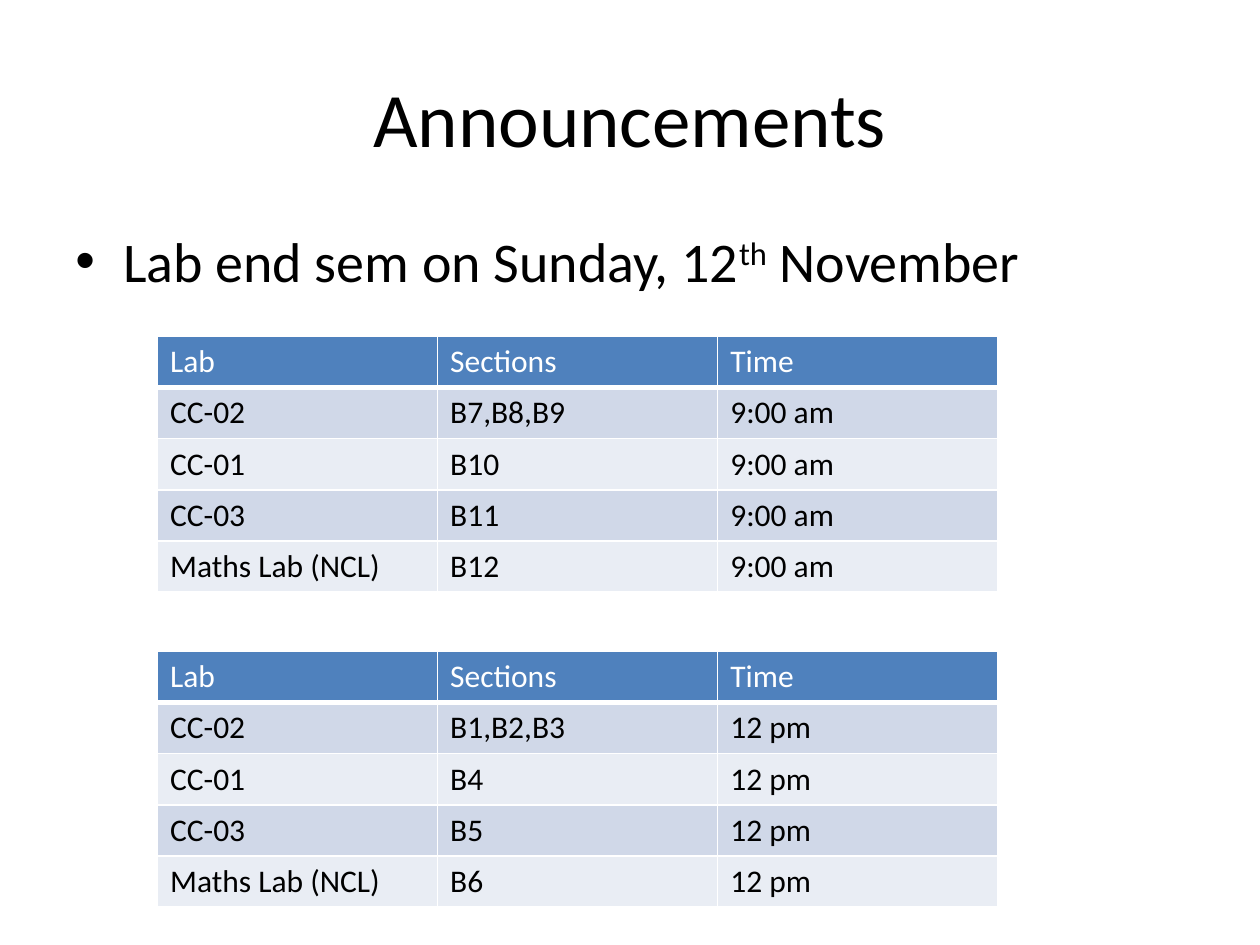
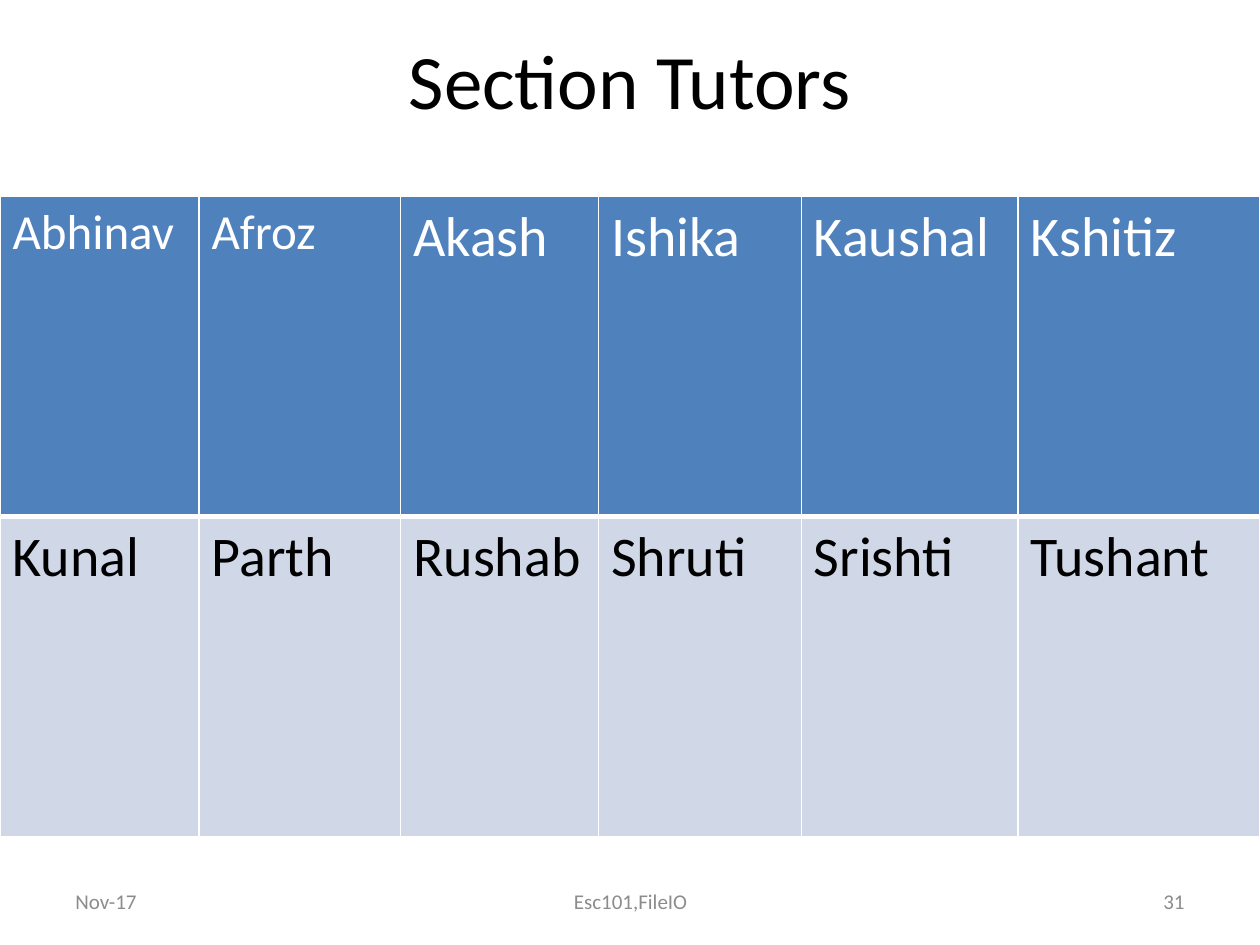
"""Build two course slides: lab exam announcements and section tutors."""
from dataclasses import dataclass

import lxml.etree
import pptx
import pptx.dml.color
import pptx.enum.text
import pptx.oxml.ns
import pptx.util

Inches = pptx.util.Inches
Align = pptx.enum.text.PP_ALIGN
Anchor = pptx.enum.text.MSO_ANCHOR
qn = pptx.oxml.ns.qn


@dataclass(frozen=True)
class Theme:
    """Colours, font and type sizes shared by the slides."""
    font: str = "Calibri"
    background: str = "FFFFFF"
    text: str = "000000"
    muted: str = "8C8C8C"
    header_text: str = "FFFFFF"
    header_fill: str = "4F81BD"
    bands: tuple = ("D0D8E8", "E9EDF4")
    border: str = "FFFFFF"
    title_size: int = 44
    body_size: int = 32
    name_size: int = 28
    table_size: int = 18
    footer_size: int = 12


THEME = Theme()
TITLE_ONLY = 5


def rgb(value):
    """Return a colour from its hexadecimal value."""
    return pptx.dml.color.RGBColor.from_string(value)


def add_run(paragraph, text, size, color=THEME.text, raised=False):
    """Add one formatted run, raised as a superscript if asked."""
    run = paragraph.add_run()
    run.text = text
    run.font.name = THEME.font
    run.font.size = pptx.util.Pt(size)
    run.font.bold = False
    run.font.color.rgb = rgb(color)
    if raised:
        run.font._element.set("baseline", "30000")


def add_titled_slide(presentation, title, box):
    """Add a title-only slide with its title centred in the box."""
    slide = presentation.slides.add_slide(presentation.slide_layouts[TITLE_ONLY])
    slide.background.fill.solid()
    slide.background.fill.fore_color.rgb = rgb(THEME.background)
    shape = slide.shapes.title
    shape.left, shape.top, shape.width, shape.height = map(Inches, box)
    shape.text_frame.vertical_anchor = Anchor.MIDDLE
    paragraph = shape.text_frame.paragraphs[0]
    paragraph.alignment = Align.CENTER
    add_run(paragraph, title, THEME.title_size)
    return slide


def add_text_box(slide, box, anchor, alignment):
    """Add a wrapping text box and return its first paragraph."""
    frame = slide.shapes.add_textbox(*map(Inches, box)).text_frame
    frame.word_wrap = True
    frame.vertical_anchor = anchor
    paragraph = frame.paragraphs[0]
    paragraph.alignment = alignment
    return paragraph


def add_bullet(slide, box, parts):
    """Add a bulleted line made of (text, raised) parts."""
    paragraph = add_text_box(slide, box, Anchor.TOP, Align.LEFT)
    paragraph.space_before = pptx.util.Pt(0.2 * THEME.body_size)
    properties = paragraph._p.get_or_add_pPr()
    indent = Inches(0.38)
    properties.set("marL", str(indent))
    properties.set("indent", str(-indent))
    lxml.etree.SubElement(properties, qn("a:buFont"), typeface="Arial")
    lxml.etree.SubElement(properties, qn("a:buChar"), char="•")
    for text, raised in parts:
        add_run(paragraph, text, THEME.body_size, raised=raised)


def set_borders(cell, top, bottom):
    """Draw the cell borders, thin at the sides, with widths in points."""
    properties = cell._tc.get_or_add_tcPr()
    widths = (("a:lnL", 1), ("a:lnR", 1), ("a:lnT", top), ("a:lnB", bottom))
    for index, (tag, width) in enumerate(widths):
        line = lxml.etree.Element(qn(tag), w=str(pptx.util.Pt(width)))
        fill = lxml.etree.SubElement(line, qn("a:solidFill"))
        lxml.etree.SubElement(fill, qn("a:srgbClr"), val=THEME.border)
        properties.insert(index, line)


def add_banded_table(slide, box, rows, column_shares, size_of):
    """Fill the box with a table that has a header row and banded rows."""
    left, top, width, height = box
    frame = slide.shapes.add_table(len(rows), len(column_shares), *map(Inches, box))
    table = frame.table
    for column, share in zip(table.columns, column_shares):
        column.width = Inches(width * share / sum(column_shares))
    for row_index, names in enumerate(rows):
        table.rows[row_index].height = Inches(height / len(rows))
        is_header = row_index == 0
        fill = THEME.header_fill if is_header else THEME.bands[(row_index - 1) % 2]
        color = THEME.header_text if is_header else THEME.text
        for column_index, name in enumerate(names):
            cell = table.cell(row_index, column_index)
            cell.fill.solid()
            cell.fill.fore_color.rgb = rgb(fill)
            set_borders(cell, top=3 if row_index == 1 else 1, bottom=3 if is_header else 1)
            add_run(cell.text_frame.paragraphs[0], name,
                    size_of(row_index, column_index), color)


def add_lab_schedule(slide, box, sections, time):
    """Add the table of labs that hold the exam at one time."""
    labs = ("CC-02", "CC-01", "CC-03", "Maths Lab (NCL)")
    rows = [("Lab", "Sections", "Time")]
    rows += [(lab, section, time) for lab, section in zip(labs, sections)]
    add_banded_table(slide, box, rows, (1, 1, 1), lambda row, column: THEME.table_size)


def add_footer(slide, top, height, date, course, number):
    """Add the date, course name and slide number along the bottom."""
    parts = ((date, 0.5, 2.33, Align.LEFT),
             (course, 3.42, 3.17, Align.CENTER),
             (number, 7.17, 2.33, Align.RIGHT))
    for text, left, width, alignment in parts:
        paragraph = add_text_box(slide, (left, top, width, height), Anchor.MIDDLE, alignment)
        add_run(paragraph, text, THEME.footer_size, THEME.muted)


def build_announcements(presentation):
    """Build the slide with the lab exam date and its two schedules."""
    slide = add_titled_slide(presentation, "Announcements", (0.5, 0.3, 9, 1.25))
    add_bullet(slide, (0.5, 1.75, 9, 0.8), (
        ("Lab end sem on Sunday, 12", False), ("th", True), (" November", False)))
    schedules = ((("B7,B8,B9", "B10", "B11", "B12"), "9:00 am"),
                 (("B1,B2,B3", "B4", "B5", "B6"), "12 pm"))
    for index, (sections, time) in enumerate(schedules):
        add_lab_schedule(slide, (1.25, 2.67 + 2.5 * index, 6.67, 2.03), sections, time)


def build_tutors(presentation):
    """Build the slide with the table of tutors."""
    slide = add_titled_slide(presentation, "Section Tutors", (0.5, 0, 9, 1.25))
    add_footer(slide, 6.95, 0.4, "Nov-17", "Esc101,FileIO", "31")
    rows = (("Abhinav", "Afroz", "Akash", "Ishika", "Kaushal", "Kshitiz"),
            ("Kunal", "Parth", "Rushab", "Shruti", "Srishti", "Tushant"))
    add_banded_table(
        slide, (0, 1.56, 10, 5.08), rows, (1.58, 1.6, 1.57, 1.61, 1.72, 1.92),
        lambda row, column: THEME.name_size if row == 0 and column < 2 else THEME.body_size)


def main():
    """Build and save the presentation."""
    presentation = pptx.Presentation()
    presentation.slide_width = Inches(10)
    presentation.slide_height = Inches(7.5)
    build_announcements(presentation)
    build_tutors(presentation)
    presentation.save("out.pptx")


main()
